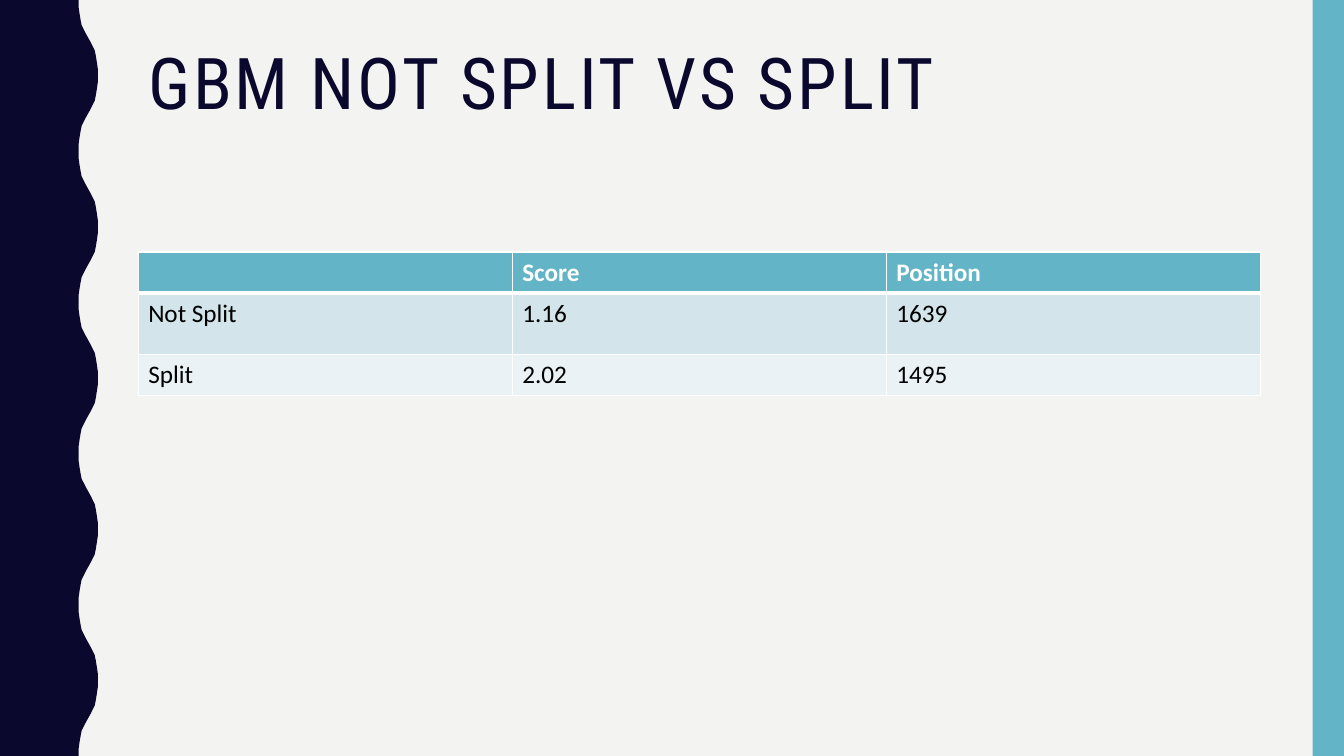
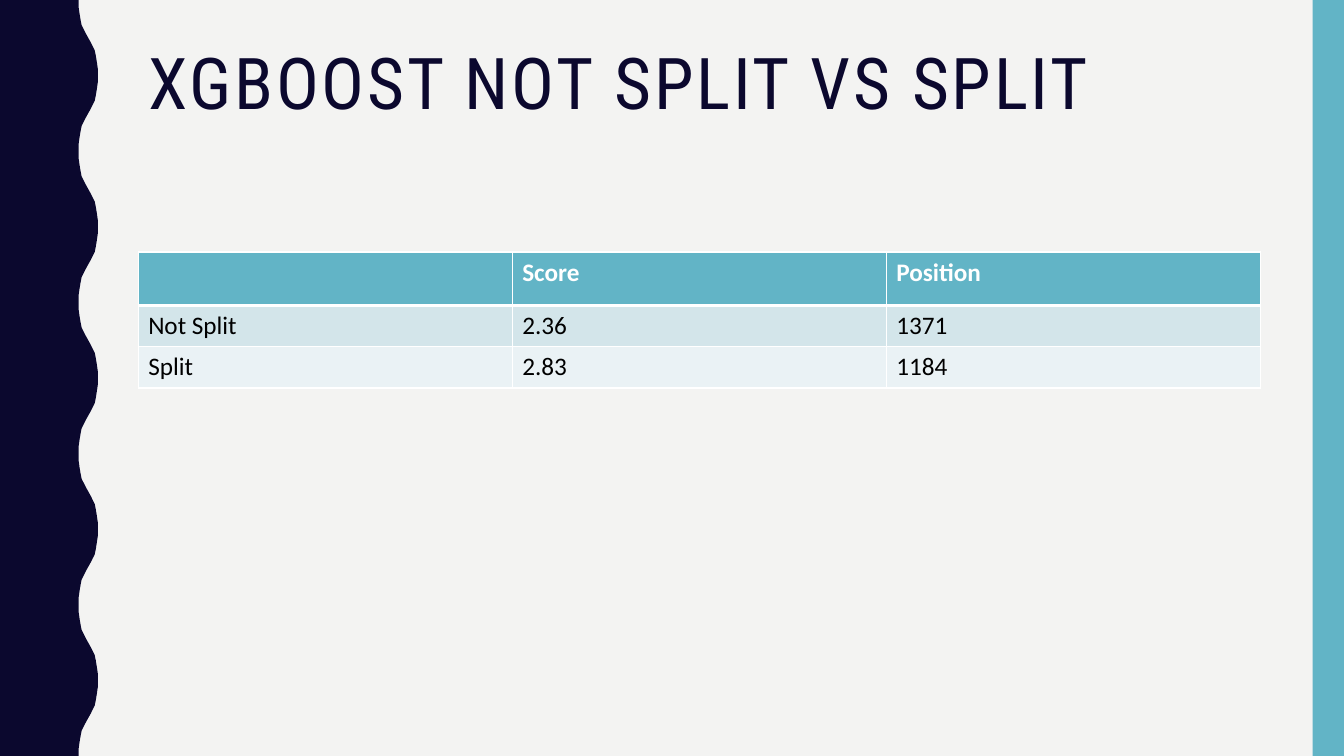
from dataclasses import dataclass

from lxml import etree
from pptx import Presentation
from pptx.dml.color import RGBColor
from pptx.enum.shapes import MSO_SHAPE
from pptx.enum.text import MSO_ANCHOR, MSO_AUTO_SIZE, PP_ALIGN
from pptx.oxml.ns import qn
from pptx.util import Inches, Pt

RECTANGLE = MSO_SHAPE.RECTANGLE
TOP = MSO_ANCHOR.TOP
LEFT = PP_ALIGN.LEFT
FIXED_SIZE = MSO_AUTO_SIZE.NONE

WIDTH = Inches(13.33)
HEIGHT = Inches(7.5)
TITLE_ONLY = 5
WAVE_COUNT = 5
WAVE_INNER, WAVE_OUTER = 0.78, 0.97
QUARTER_WAVE = [(0, 0.78), (0.07, 0.78), (0.14, 0.79), (0.2, 0.8),
                (0.25, 0.81), (0.29, 0.83), (0.33, 0.85)]


@dataclass(frozen=True)
class Theme:
    background: str = "F3F3F2"
    navy: str = "0B082E"
    teal: str = "62B4C6"
    band_dark: str = "D3E5EA"
    band_light: str = "EAF2F5"
    white: str = "FFFFFF"
    black: str = "000000"
    title_font: str = "Roboto Condensed"
    body_font: str = "Calibri"
    title_size: int = 51
    body_size: int = 18
    title_tracking: int = 2
    thin: int = 1
    thick: int = 3


THEME = Theme()

COMPARISONS = [
    ("GBM NOT SPLIT VS SPLIT", (5.47, 8.13, 5.33),
     [("", "Score", "Position"), ("Not Split", "1.16", "1639"), ("Split", "2.02", "1495")]),
    ("XGBOOST NOT SPLIT VS SPLIT", (7.07, 5.47, 5.47),
     [("", "Score", "Position"), ("Not Split", "2.36", "1371"), ("Split", "2.83", "1184")]),
]


def across(percent):
    return round(WIDTH * percent / 100)


def down(percent):
    return round(HEIGHT * percent / 100)


def paint(fill, color):
    fill.solid()
    fill.fore_color.rgb = RGBColor.from_string(color)


def write(text_frame, text, *, font, size, color, bold=False, tracking=0, line_spacing=1.0):
    paragraph = text_frame.paragraphs[0]
    paragraph.alignment = LEFT
    paragraph.line_spacing = line_spacing
    run = paragraph.add_run()
    run.text = text
    run.font.name = font
    run.font.size = Pt(size)
    run.font.bold = bold
    run.font.color.rgb = RGBColor.from_string(color)
    if tracking:
        run.font._element.set("spc", str(tracking * 100))


def set_border(cell, side, width, color):
    properties = cell._tc.get_or_add_tcPr()
    line = etree.SubElement(properties, qn(f"a:ln{side}"), w=str(Pt(width)))
    fill = etree.SubElement(line, qn("a:solidFill"))
    etree.SubElement(fill, qn("a:srgbClr"), val=color)


def wave_points():
    period = HEIGHT / Inches(1) / WAVE_COUNT
    half = period / 2
    middle = [(half / 2, (WAVE_INNER + WAVE_OUTER) / 2)]
    rising = QUARTER_WAVE + middle + [
        (half - y, WAVE_INNER + WAVE_OUTER - x) for y, x in reversed(QUARTER_WAVE)]
    wave = rising + [(period - y, x) for y, x in reversed(rising[:-1])]
    return [(Inches(x), Inches(y + index * period))
            for index in range(WAVE_COUNT) for y, x in wave]


def finish_decoration(shape, color, layout):
    shape.shadow.inherit = False
    paint(shape.fill, color)
    shape.line.fill.background()
    layout.shapes.element.insert(2, shape.element)


def prepare_layout(layout):
    paint(layout.background.fill, THEME.background)
    for placeholder in list(layout.placeholders):
        if placeholder.placeholder_format.idx:
            placeholder.element.getparent().remove(placeholder.element)
        else:
            placeholder.left, placeholder.top = across(10.28), down(5.6)
            placeholder.width, placeholder.height = across(83.5), down(21.73)


def add_side_bands(slide, layout):
    builder = slide.shapes.build_freeform(0, 0, scale=1.0)
    builder.add_line_segments(wave_points() + [(0, HEIGHT)], close=True)
    wave = builder.convert_to_shape()
    bar_width = across(2.33)
    bar = slide.shapes.add_shape(RECTANGLE, WIDTH - bar_width, 0, bar_width, HEIGHT)
    finish_decoration(wave, THEME.navy, layout)
    finish_decoration(bar, THEME.teal, layout)


def set_title(slide, text):
    text_frame = slide.shapes.title.text_frame
    text_frame.vertical_anchor = TOP
    text_frame.auto_size = FIXED_SIZE
    text_frame.word_wrap = True
    write(text_frame, text, font=THEME.title_font, size=THEME.title_size,
          color=THEME.navy, tracking=THEME.title_tracking, line_spacing=0.9)


def format_cell(cell, text, row_index):
    header = row_index == 0
    widths = {"L": THEME.thin, "R": THEME.thin,
              "T": THEME.thick if row_index == 1 else THEME.thin,
              "B": THEME.thick if header else THEME.thin}
    for side, width in widths.items():
        set_border(cell, side, width, THEME.white)
    paint(cell.fill, (THEME.teal, THEME.band_dark, THEME.band_light)[row_index])
    if text:
        write(cell.text_frame, text, font=THEME.body_font, size=THEME.body_size,
              color=THEME.white if header else THEME.black, bold=header)


def add_score_table(slide, rows, row_shares):
    frame = slide.shapes.add_table(len(rows), len(rows[0]), across(10.28), down(33.33),
                                   across(83.5), down(sum(row_shares)))
    table = frame.table
    for row_index, (values, share) in enumerate(zip(rows, row_shares)):
        table.rows[row_index].height = down(share)
        for column_index, text in enumerate(values):
            format_cell(table.cell(row_index, column_index), text, row_index)


def main():
    presentation = Presentation()
    presentation.slide_width, presentation.slide_height = WIDTH, HEIGHT
    layout = presentation.slide_layouts[TITLE_ONLY]
    prepare_layout(layout)
    slides = [presentation.slides.add_slide(layout) for _ in COMPARISONS]
    add_side_bands(slides[0], layout)
    for slide, (title, row_shares, rows) in zip(slides, COMPARISONS):
        set_title(slide, title)
        add_score_table(slide, rows, row_shares)
    presentation.save("out.pptx")


if __name__ == "__main__":
    main()
